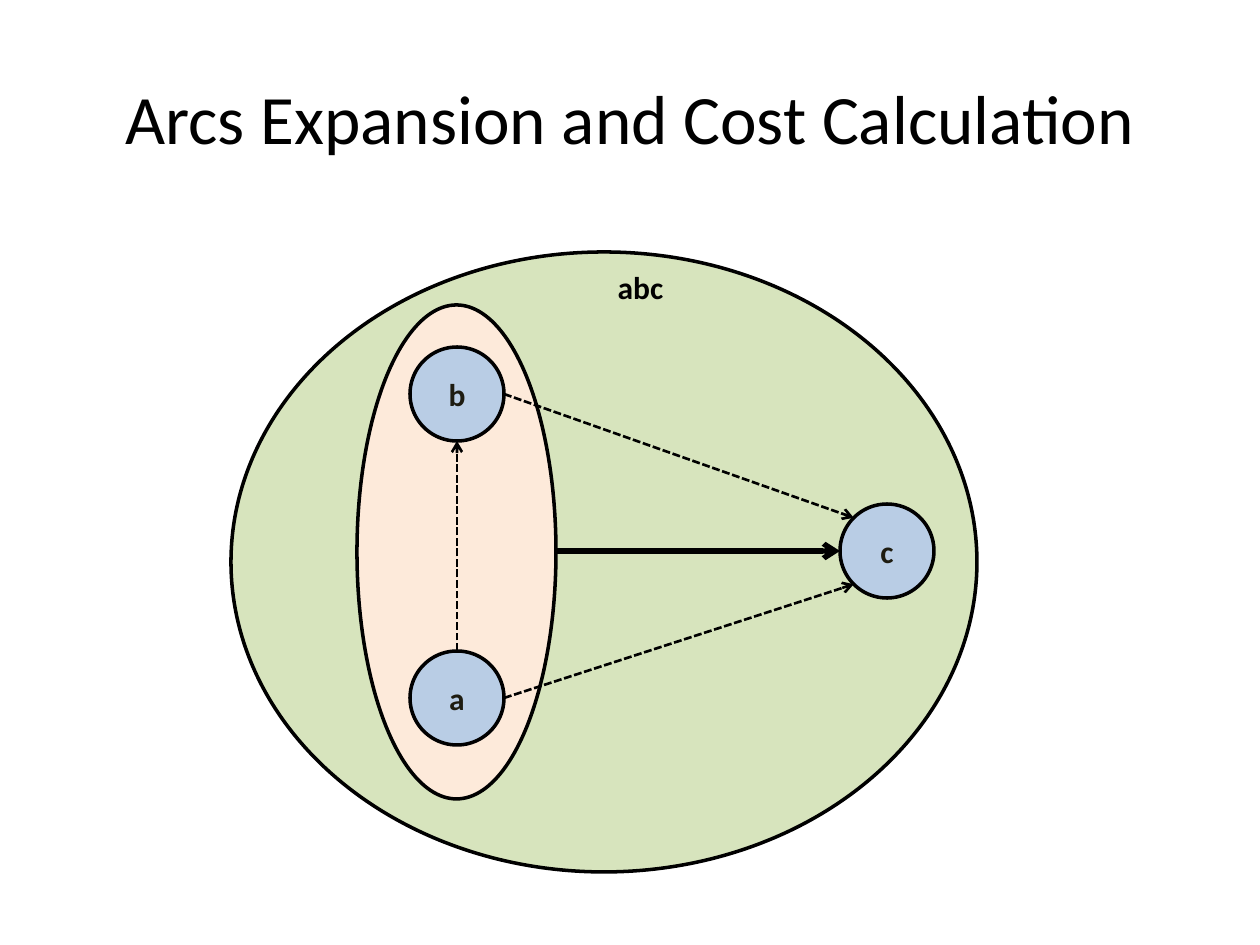
import math

from lxml import etree
from pptx import Presentation
from pptx import util as u
from pptx.dml.color import RGBColor
from pptx.enum import dml, shapes, text
from pptx.oxml.ns import qn

SCALE = 914400 / 126
NODE = 94


def px(n):
    """Turn pixels into EMU."""
    return u.Emu(round(n * SCALE))


def rgb(value):
    """Turn a hex string into a colour."""
    return RGBColor.from_string(value)


def write(sp, words, size, color, bold=False):
    """Write centred Calibri text in a shape."""
    tf = sp.text_frame
    tf.text = words
    tf.word_wrap = True
    tf.vertical_anchor = text.MSO_ANCHOR.MIDDLE
    p = tf.paragraphs[0]
    p.alignment = text.PP_ALIGN.CENTER
    font = p.runs[0].font
    font.name, font.size, font.bold = "Calibri", u.Pt(size), bold
    font.color.rgb = rgb(color)


def label(s, box, words, size, bold=False):
    """Add a text box with black text."""
    sp = s.shapes.add_textbox(*map(px, box))
    write(sp, words, size, "000000", bold)


def ellipse(s, box, fill):
    """Add a filled ellipse with a black outline."""
    sp = s.shapes.add_shape(shapes.MSO_SHAPE.OVAL, *map(px, box))
    sp.shadow.inherit = False
    sp.fill.solid()
    sp.fill.fore_color.rgb = rgb(fill)
    sp.line.color.rgb = rgb("000000")
    sp.line.width = u.Pt(2)
    return sp


def node(s, center, name):
    """Add a named graph node around its centre."""
    x, y = center
    sp = ellipse(s, (x - NODE / 2, y - NODE / 2, NODE, NODE), "B9CDE5")
    write(sp, name, 18, "1E1C11", True)


def rim(center, degrees):
    """Return the point on a node's edge at a clockwise angle from the right."""
    a = math.radians(degrees)
    return center[0] + NODE / 2 * math.cos(a), center[1] + NODE / 2 * math.sin(a)


def arrow(s, start, end, width=1.5, dashed=True):
    """Add a black arrow between two points."""
    cx = s.shapes.add_connector(shapes.MSO_CONNECTOR.STRAIGHT, *map(px, start + end))
    cx.line.color.rgb = rgb("000000")
    cx.line.width = u.Pt(width)
    if dashed:
        cx.line.dash_style = dml.MSO_LINE.SQUARE_DOT
    etree.SubElement(cx.line._get_or_add_ln(), qn("a:tailEnd"), type="arrow")
    etree.SubElement(cx._element.spPr, qn("a:effectLst"))


def main():
    """Build the slide."""
    prs = Presentation()
    prs.slide_width, prs.slide_height = px(1260), px(945)
    s = prs.slides.add_slide(prs.slide_layouts[6])

    ellipse(s, (231, 252, 746, 620), "D7E4BD")
    ellipse(s, (357, 305, 199, 494), "FDEADA")
    label(s, (63, 38, 1134, 157), "Arcs Expansion and Cost Calculation", 39.6)

    a, b, c = (457, 698), (457, 394), (887, 551)
    for center, name in ((a, "a"), (b, "b"), (c, "c")):
        node(s, center, name)

    arrow(s, (556, 551), rim(c, 180), 3, False)
    arrow(s, rim(b, 0), rim(c, 225))
    arrow(s, rim(a, 0), rim(c, 135))
    arrow(s, rim(a, 270), rim(b, 90))
    label(s, (588, 262, 105, 50), "abc", 18, True)
    prs.save("out.pptx")


main()
